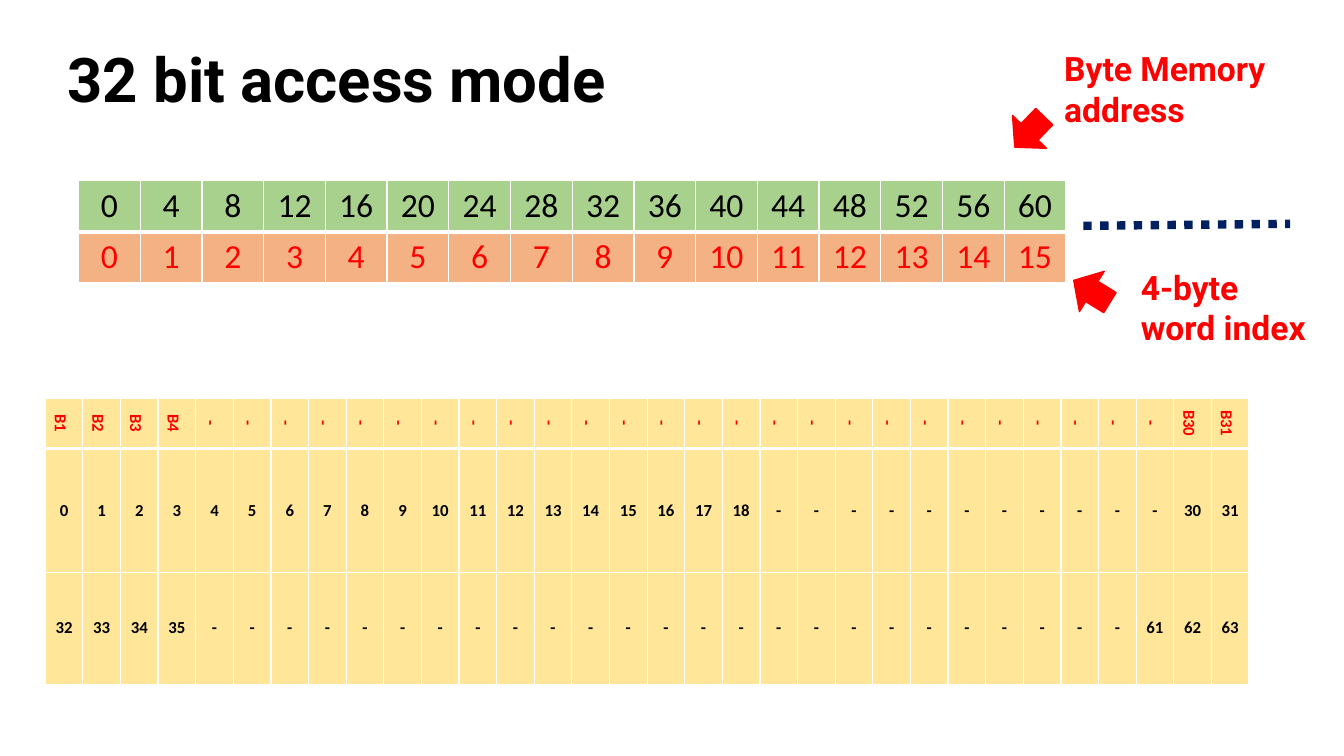
import pptx
import pptx.dml.color
import pptx.enum.dml
import pptx.enum.shapes
import pptx.enum.text
import pptx.oxml
import pptx.oxml.ns
import pptx.util

Cm = pptx.util.Cm
Pt = pptx.util.Pt
ALIGN = pptx.enum.text.PP_ALIGN
ANCHOR = pptx.enum.text.MSO_ANCHOR
SHAPES = pptx.enum.shapes.MSO_SHAPE

COLORS = {
    "black": "000000",
    "white": "FFFFFF",
    "red": "FF0000",
    "navy": "002060",
    "green": "A9D18E",
    "orange": "F4B183",
    "yellow": "FFE699",
}


def rgb(name):
    """Return the named colour."""
    return pptx.dml.color.RGBColor.from_string(COLORS[name])


class SlideBuilder:
    """Holds the fonts and the current slide, and adds elements to it."""

    heading_font = "Roboto"
    table_font = "Calibri"

    def __init__(self, slide):
        """Keep the slide to draw on."""
        self.slide = slide

    def run(self, p, text, size, color, font, bold=True):
        """Add one formatted run to a paragraph."""
        r = p.add_run()
        r.text = text
        r.font.name = font
        r.font.size = Pt(size)
        r.font.bold = bold
        r.font.color.rgb = rgb(color)

    def title(self, text, x, y, w, h):
        """Place and fill the title placeholder."""
        sp = self.slide.shapes.title
        sp.left, sp.top, sp.width, sp.height = Cm(x), Cm(y), Cm(w), Cm(h)
        tf = sp.text_frame
        tf.auto_size = pptx.enum.text.MSO_AUTO_SIZE.NONE
        tf.vertical_anchor = ANCHOR.MIDDLE
        p = tf.paragraphs[0]
        p.alignment = ALIGN.LEFT
        p.line_spacing = 0.9
        self.run(p, text, 44, "black", self.heading_font)

    def label(self, text, x, y, w, h):
        """Add a red wrapped label."""
        sp = self.slide.shapes.add_textbox(Cm(x), Cm(y), Cm(w), Cm(h))
        tf = sp.text_frame
        tf.word_wrap = True
        tf.auto_size = pptx.enum.text.MSO_AUTO_SIZE.SHAPE_TO_FIT_TEXT
        self.run(tf.paragraphs[0], text, 24, "red", self.heading_font)

    def arrow(self, x, y, rotation):
        """Add a red block arrow turned from pointing down."""
        sp = self.slide.shapes.add_shape(
            SHAPES.DOWN_ARROW, Cm(x), Cm(y), Cm(1.19), Cm(1.07))
        sp.rotation = rotation
        sp.shadow.inherit = False
        sp.fill.solid()
        sp.fill.fore_color.rgb = rgb("red")
        sp.line.color.rgb = rgb("red")
        sp.line.width = Pt(1)

    def dotted_line(self, x1, y1, x2, y2):
        """Add the thick dotted continuation line."""
        line = self.slide.shapes.add_connector(
            pptx.enum.shapes.MSO_CONNECTOR.STRAIGHT,
            Cm(x1), Cm(y1), Cm(x2), Cm(y2))
        line.line.color.rgb = rgb("navy")
        line.line.width = Pt(6)
        line.line.dash_style = pptx.enum.dml.MSO_LINE.ROUND_DOT
        line._element.spPr.append(
            pptx.oxml.parse_xml(f'<a:effectLst {pptx.oxml.ns.nsdecls("a")}/>'))

    def borders(self, cell, top, bottom):
        """Give a cell white borders; widths in points."""
        tcPr = cell._tc.get_or_add_tcPr()
        widths = {"lnL": 1, "lnR": 1, "lnT": top, "lnB": bottom}
        for i, (tag, width) in enumerate(widths.items()):
            tcPr.insert(i, pptx.oxml.parse_xml(
                f'<a:{tag} {pptx.oxml.ns.nsdecls("a")} w="{Pt(width)}">'
                f'<a:solidFill><a:srgbClr val="{COLORS["white"]}"/></a:solidFill>'
                f'</a:{tag}>'))

    def table(self, rows, x, y, w, heights, fills, colors, size, bold,
              vertical_header=False):
        """Add a table of equal columns, with a thick rule under its first row."""
        count = len(rows[0])
        frame = self.slide.shapes.add_table(
            len(rows), count, Cm(x), Cm(y), Cm(w), Cm(sum(heights)))
        table = frame.table
        table.first_row = table.horz_banding = False
        for column in table.columns:
            column.width = Cm(w / count)
        for i, values in enumerate(rows):
            table.rows[i].height = Cm(heights[i])
            for j, value in enumerate(values):
                cell = table.cell(i, j)
                cell.vertical_anchor = ANCHOR.MIDDLE
                cell.fill.solid()
                cell.fill.fore_color.rgb = rgb(fills[i])
                self.borders(cell, 3 if i == 1 else 1, 3 if i == 0 else 1)
                if vertical_header and i == 0:
                    cell._tc.get_or_add_tcPr().set("vert", "vert")
                p = cell.text_frame.paragraphs[0]
                p.alignment = ALIGN.CENTER
                self.run(p, str(value), size, colors[i], self.table_font, bold)


def dashed(start, end, total=32):
    """Join the first and last entries of a row with dashes between."""
    return [*start, *["-"] * (total - len(start) - len(end)), *end]


def main():
    """Build the slide and save it."""
    prs = pptx.Presentation()
    prs.slide_width, prs.slide_height = Cm(33.87), Cm(19.05)
    s = SlideBuilder(prs.slides.add_slide(prs.slide_layouts[5]))

    s.title("32 bit access mode", 1.45, 0.25, 29.21, 3.68)
    s.table([range(0, 64, 4), range(16)], 1.98, 4.55, 24.89, [1.27, 1.27],
            ["green", "orange"], ["black", "red"], 24, False)
    memory = [
        dashed(["B1", "B2", "B3", "B4"], ["B30", "B31"]),
        dashed(range(19), [30, 31]),
        dashed(range(32, 36), [61, 62, 63]),
    ]
    s.table(memory, 1.14, 10.03, 30.35, [1.27, 3.12, 2.82], ["yellow"] * 3,
            ["red", "black", "black"], 12, True, vertical_header=True)

    s.label("Byte Memory address", 26.57, 1.09, 5.94, 2.31)
    s.label("4-byte word index", 28.5, 6.6, 4.7, 2.31)
    s.arrow(25.35, 2.79, 44)
    s.arrow(26.92, 6.81, 121.6)
    s.dotted_line(27.3, 5.69, 32.51, 5.64)

    prs.save("out.pptx")


main()
